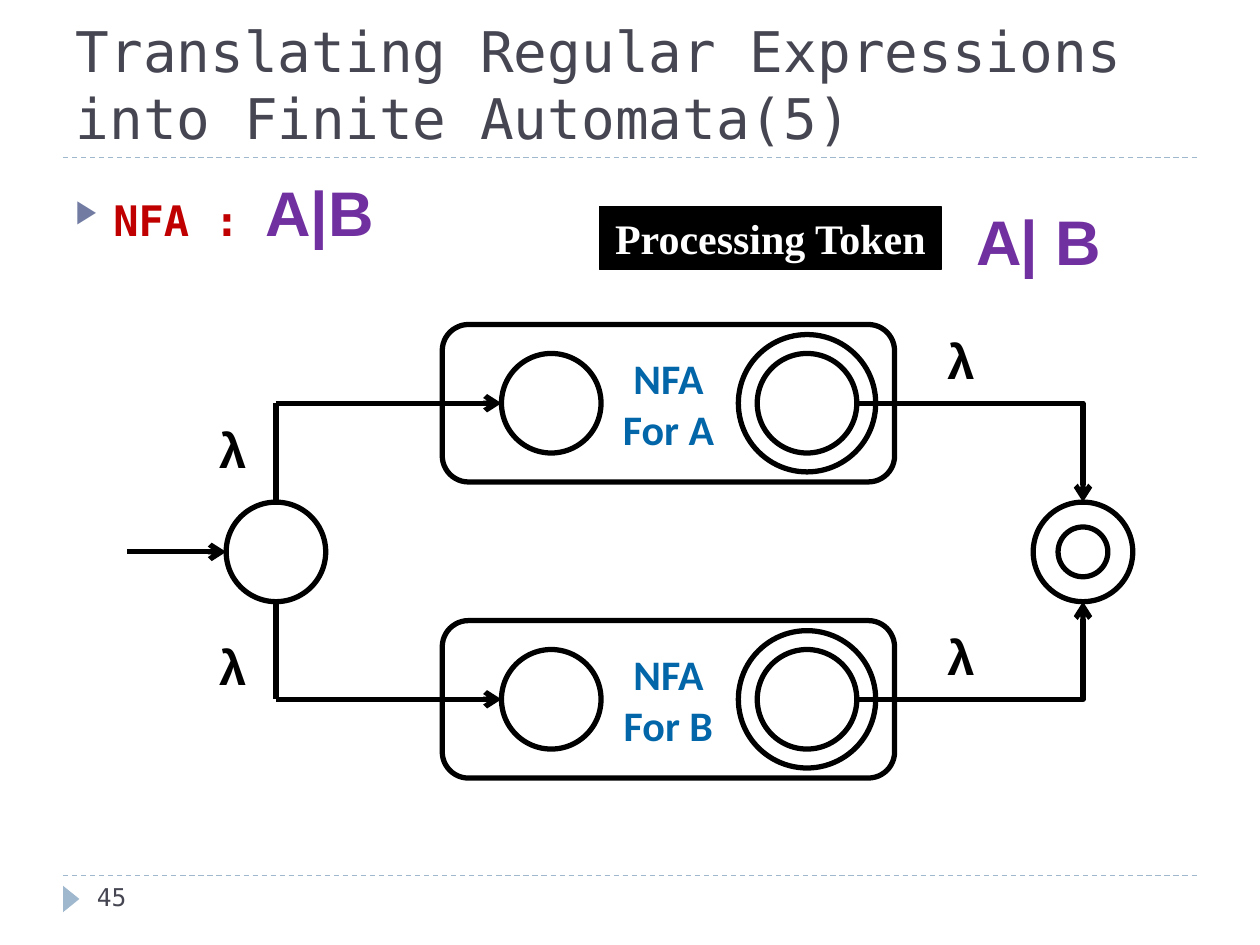
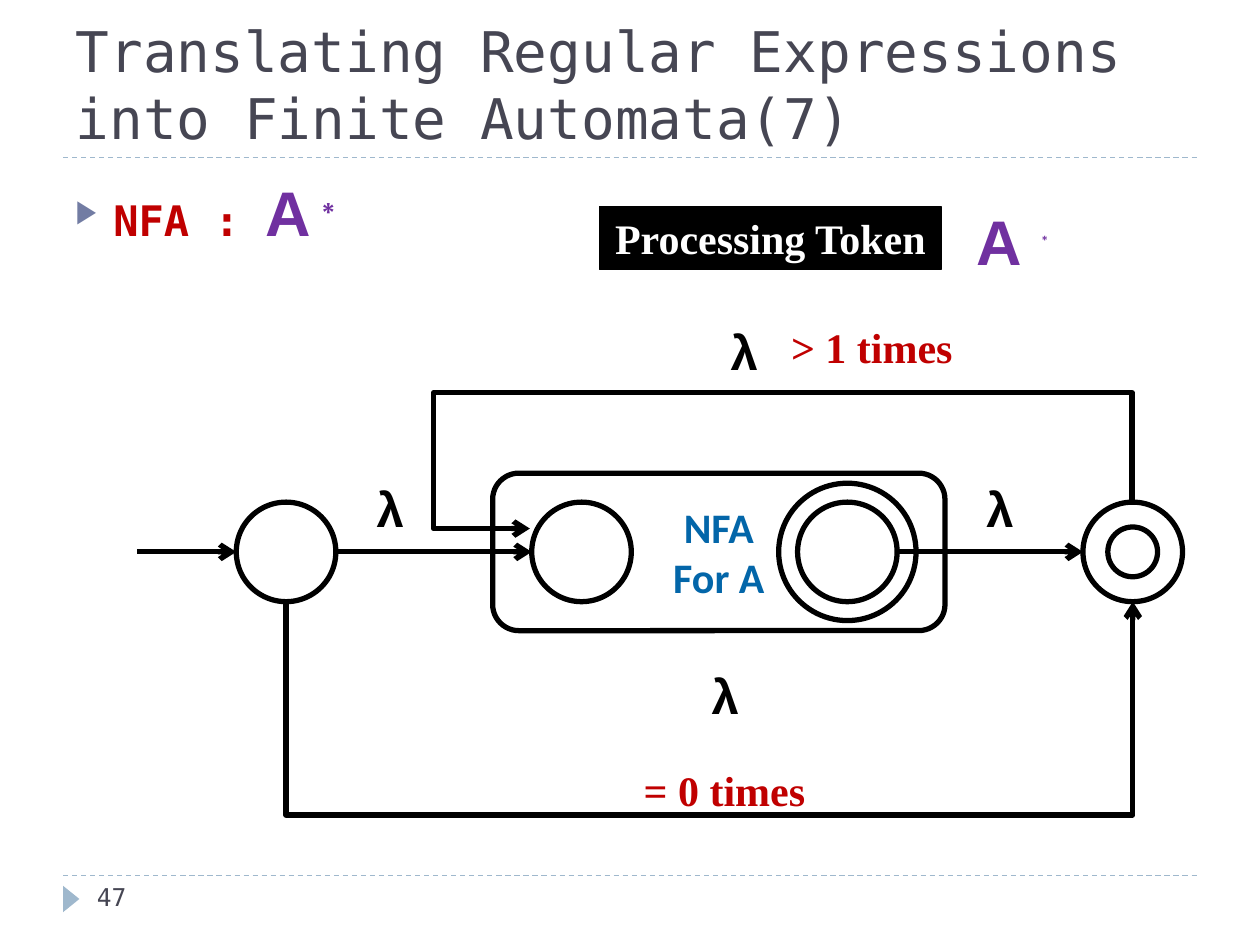
"""Build two slides on turning regular expressions into finite automata."""
from dataclasses import dataclass

import lxml.etree
import pptx
import pptx.dml.color
import pptx.enum.dml
import pptx.enum.shapes
import pptx.enum.text
import pptx.oxml.ns
import pptx.util

WIDE, HIGH = pptx.util.Inches(10), pptx.util.Inches(7.5)
CELL = WIDE / 100
STATE, RING, HOLE = 7.9, 10.9, 0.25
BOX_W, BOX_H = 35.9, 12.5
MID = 43.8
COLORS = {
    "ink": "000000",
    "paper": "FFFFFF",
    "title": "464653",
    "rule": "9FB8CD",
    "bullet": "727CA3",
    "red": "C00000",
    "purple": "7030A0",
    "blue": "0366A9",
}
FORM = pptx.enum.shapes.MSO_SHAPE
LINK = pptx.enum.shapes.MSO_CONNECTOR
ANCHOR = pptx.enum.text.MSO_ANCHOR
ALIGN = pptx.enum.text.PP_ALIGN
qn = pptx.oxml.ns.qn


@dataclass(frozen=True)
class Style:
    """Font settings of a run."""

    size: int
    face: str
    color: str
    bold: bool = True
    lift: int = 0


@dataclass(frozen=True)
class Label:
    """Words placed at a column and row of the grid."""

    text: str
    col: float
    row: float
    wide: float
    high: float
    style: Style


@dataclass(frozen=True)
class Machine:
    """A boxed automaton with its entry and final state."""

    name: str
    left: float
    mid: float
    entry: float
    final: float


@dataclass(frozen=True)
class Elbow:
    """A bent arrow, given by its ends before it is turned."""

    start: tuple[float, float]
    end: tuple[float, float]
    kind: str = "bentConnector2"
    turn: int = 0
    bends: tuple[float, ...] = ()


TITLE = Style(32, "DejaVu Sans Mono", "title", False)
PAGE = Style(14, "DejaVu Sans Mono", "title", False)
LEAD = Style(24, "DejaVu Sans Mono", "red")
TOKEN = Style(36, "Arial", "purple")
POWER = Style(36, "Arial", "purple", lift=30)
STAR = Style(16, "Arial", "purple", lift=30)
LAMBDA = Style(28, "Arial", "ink")
INNER = Style(24, "Calibri", "blue")
BADGE = Style(24, "Times New Roman", "paper")
TIMES = Style(24, "Times New Roman", "red")


def grid(*cells: float) -> list[int]:
    """Turn grid cells into lengths."""
    return [pptx.util.Emu(round(cell * CELL)) for cell in cells]


def tint(name: str) -> pptx.dml.color.RGBColor:
    """Look up a colour."""
    return pptx.dml.color.RGBColor.from_string(COLORS[name])


def dress(run, style: Style) -> None:
    """Format one run."""
    run.font.size = pptx.util.Pt(style.size)
    run.font.name = style.face
    run.font.bold = style.bold
    run.font.color.rgb = tint(style.color)
    if style.lift:
        run._r.get_or_add_rPr().set("baseline", str(style.lift * 1000))


def write(frame, text: str, style: Style, align=ALIGN.LEFT) -> None:
    """Fill a text frame in one style."""
    frame.text = text
    for para in frame.paragraphs:
        para.alignment = align
        for run in para.runs:
            dress(run, style)


def place(shape, *cells: float) -> None:
    """Move and size a shape on the grid."""
    shape.left, shape.top, shape.width, shape.height = grid(*cells)


def label(slide, item: Label) -> None:
    """Add a text box."""
    cells = grid(item.col, item.row, item.wide, item.high)
    frame = slide.shapes.add_textbox(*cells).text_frame
    frame.word_wrap = False
    write(frame, item.text, item.style)


def figure(slide, form, cells: tuple, fill: str = "", line: str = "ink", weight: float = 3):
    """Add a preset shape."""
    shape = slide.shapes.add_shape(form, *grid(*cells))
    shape.shadow.inherit = False
    if fill:
        shape.fill.solid()
        shape.fill.fore_color.rgb = tint(fill)
    else:
        shape.fill.background()
    if line:
        shape.line.color.rgb = tint(line)
        shape.line.width = pptx.util.Pt(weight)
    else:
        shape.line.fill.background()
    return shape


def disc(slide, form, col: float, row: float, size: float, fill: str = "paper"):
    """Add a round shape about its centre."""
    return figure(slide, form, (col - size / 2, row - size / 2, size, size), fill)


def link(slide, start: tuple, end: tuple, head: bool = True, kind=LINK.STRAIGHT,
         color: str = "ink", weight: float = 3):
    """Add a line, with an arrowhead if asked."""
    line = slide.shapes.add_connector(kind, *grid(*start, *end))
    line.line.color.rgb = tint(color)
    line.line.width = pptx.util.Pt(weight)
    if head:
        lxml.etree.SubElement(line.line._get_or_add_ln(), qn("a:tailEnd"), type="arrow")
    lxml.etree.SubElement(line._element.spPr, qn("a:effectLst"))
    return line


def bend(slide, item: Elbow) -> None:
    """Add a bent arrow."""
    props = link(slide, item.start, item.end, kind=LINK.ELBOW)._element.spPr
    if item.turn:
        props.find(qn("a:xfrm")).set("rot", str(item.turn * 60000))
    form = props.find(qn("a:prstGeom"))
    form.set("prst", item.kind)
    guides = form.find(qn("a:avLst"))
    for num, part in enumerate(item.bends, 1):
        lxml.etree.SubElement(guides, qn("a:gd"), name=f"adj{num}",
                              fmla=f"val {round(part * 100000)}")


def machine(slide, item: Machine) -> None:
    """Draw a boxed automaton."""
    box = figure(slide, FORM.ROUNDED_RECTANGLE,
                 (item.left, item.mid - BOX_H / 2, BOX_W, BOX_H))
    box.text_frame.vertical_anchor = ANCHOR.MIDDLE
    write(box.text_frame, f"NFA\nFor {item.name}", INNER, ALIGN.CENTER)
    disc(slide, FORM.OVAL, item.final, item.mid, RING, "")
    for col in (item.entry, item.final):
        disc(slide, FORM.OVAL, col, item.mid, STATE)


def ends(slide, first: float, last: float) -> None:
    """Draw the start state with its arrow, and the end state."""
    disc(slide, FORM.OVAL, first, MID, STATE)
    link(slide, (first - STATE / 2 - 7.85, MID), (first - STATE / 2, MID))
    disc(slide, FORM.DONUT, last, MID, STATE).adjustments[0] = HOLE


def bullet(para) -> None:
    """Give a paragraph the arrow bullet."""
    props = para._p.get_or_add_pPr()
    props.set("marL", str(grid(3)[0]))
    props.set("indent", str(grid(-3)[0]))
    para.space_before = pptx.util.Pt(0)
    hue = lxml.etree.SubElement(props, qn("a:buClr"))
    lxml.etree.SubElement(hue, qn("a:srgbClr"), val=COLORS["bullet"])
    lxml.etree.SubElement(props, qn("a:buSzPct"), val="76000")
    lxml.etree.SubElement(props, qn("a:buChar"), char="▶")


def base(deck, part: int, page: int, parts: list[tuple[str, Style]]):
    """Add a slide with title, lead line, badge and footer."""
    slide = deck.slides.add_slide(deck.slide_layouts[1])
    for row in (12.5, 69.5):
        rule = link(slide, (5, row), (95, row), False, color="rule", weight=0.75)
        rule.line.dash_style = pptx.enum.dml.MSO_LINE.DASH
    figure(slide, FORM.ISOSCELES_TRIANGLE, (4.6, 70.7, 2.1, 1.3), "rule", "").rotation = 90

    title, body = slide.placeholders
    place(title, 5, 1.7, 90, 10.8)
    place(body, 5, 13.3, 90, 54)
    for holder, anchor in ((title, ANCHOR.BOTTOM), (body, ANCHOR.TOP)):
        holder.text_frame.auto_size = pptx.enum.text.MSO_AUTO_SIZE.NONE
        holder.text_frame.vertical_anchor = anchor
    write(title.text_frame,
          f"Translating Regular Expressions \vinto Finite Automata({part})", TITLE)
    para = body.text_frame.paragraphs[0]
    bullet(para)
    for text, style in parts:
        run = para.add_run()
        run.text = text
        dress(run, style)

    label(slide, Label(str(page), 6.7, 69.5, 21.7, 4, PAGE))
    badge = figure(slide, FORM.RECTANGLE, (47.6, 16.4, 27.1, 5), "ink", "ink", 0.75)
    badge.text_frame.word_wrap = False
    badge.text_frame.vertical_anchor = ANCHOR.TOP
    write(badge.text_frame, "Processing Token", BADGE, ALIGN.CENTER)
    label(slide, Label("Α", 76.5, 15.6, 5.8, 7, TOKEN))
    return slide


def choice(deck) -> None:
    """Build the slide on A or B."""
    slide = base(deck, 5, 45, [("NFA : ", LEAD), ("Α|Β", TOKEN)])
    first, last, half = 21.9, 85.95, STATE / 2
    ends(slide, first, last)
    for name, mid, side in (("A", 32, -1), ("B", 55.5, 1)):
        item = Machine(name, 35.1, mid, 43.75, 64.05)
        machine(slide, item)
        rim = MID + side * half
        link(slide, (first, rim), (first, mid), False)
        link(slide, (first, mid), (item.entry - half, mid))
        bend(slide, Elbow((item.final + half, mid), (last, rim)))
        label(slide, Label("λ", 74.2, mid - BOX_H / 2, 4.2, 5.7, LAMBDA))
    for row in (32.8, 50):
        label(slide, Label("λ", 16.4, row, 4.2, 5.7, LAMBDA))
    label(slide, Label("|", 80, 15.6, 4, 7, TOKEN))
    label(slide, Label("Β", 82.8, 15.6, 5.4, 7, TOKEN))


def repeat(deck) -> None:
    """Build the slide on A repeated."""
    slide = base(deck, 7, 47, [("NFA : ", LEAD), ("Α", TOKEN), ("∗", POWER)])
    first, last, half = 22.7, 89.9, STATE / 2
    ends(slide, first, last)
    item = Machine("A", 39.1, MID, 46.15, 67.25)
    machine(slide, item)
    link(slide, (first + half, MID), (item.entry - half, MID))
    link(slide, (item.final + half, MID), (last - half, MID))
    bend(slide, Elbow((64.9, 17), (67, 64.8), "bentConnector4", 90, (-4.14, 1.16)))
    bend(slide, Elbow((56.35, 14.1), (56.25, 81.3), "bentConnector3", 270, (173,)))
    for col, row in ((28.9, 37.5), (57, 25), (77.3, 37.5), (55.5, 52.3)):
        label(slide, Label("λ", col, row, 4.2, 5.7, LAMBDA))
    for text, col, row in (("= 0 times", 50.1, 60.2), ("> 1 times", 61.8, 25)):
        label(slide, Label(text, col, row, 14.8, 5, TIMES))
    label(slide, Label("∗", 81.3, 17.2, 2.6, 3.7, STAR))


def main() -> None:
    """Build and save the deck."""
    deck = pptx.Presentation()
    deck.slide_width, deck.slide_height = WIDE, HIGH
    choice(deck)
    repeat(deck)
    deck.save("out.pptx")


if __name__ == "__main__":
    main()
